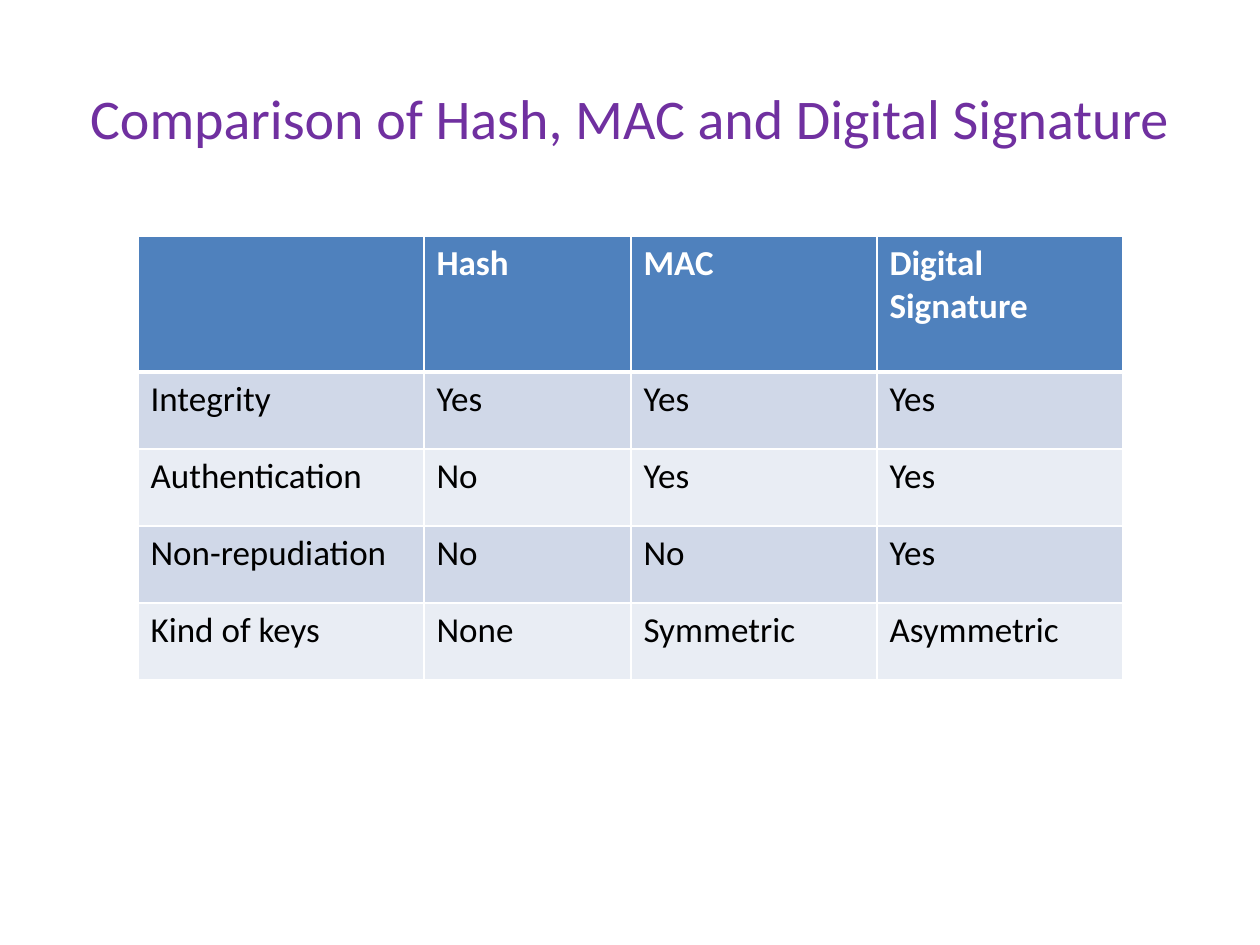
from pptx import Presentation
from pptx.dml.color import RGBColor
from pptx.enum.text import MSO_ANCHOR, PP_ALIGN
from pptx.oxml import parse_xml
from pptx.oxml.ns import nsdecls
from pptx.util import Pt

PX = 914400 / 126
FONT = "Calibri"
PURPLE = RGBColor(0x70, 0x30, 0xA0)
BLUE = RGBColor(0x4F, 0x81, 0xBD)
BAND_DARK = RGBColor(0xD0, 0xD8, 0xE8)
BAND_LIGHT = RGBColor(0xE9, 0xED, 0xF4)
WHITE = RGBColor(0xFF, 0xFF, 0xFF)
BLACK = RGBColor(0, 0, 0)

COLUMNS = [286, 207, 246, 246]
HEADER_HEIGHT, ROW_HEIGHT = 136, 77
ROWS = [
    ["", "Hash", "MAC", "Digital Signature"],
    ["Integrity", "Yes", "Yes", "Yes"],
    ["Authentication", "No", "Yes", "Yes"],
    ["Non-repudiation", "No", "No", "Yes"],
    ["Kind of keys", "None", "Symmetric", "Asymmetric"],
]


def px(n):
    return round(n * PX)


def style_font(font, size, color, bold=False):
    font.name = FONT
    font.size = Pt(size)
    font.bold = bold
    font.color.rgb = color


def add_title(s, text, x, y, w, h):
    tf = s.shapes.add_textbox(px(x), px(y), px(w), px(h)).text_frame
    tf.word_wrap = True
    tf.vertical_anchor = MSO_ANCHOR.MIDDLE
    tf.text = text
    p = tf.paragraphs[0]
    p.alignment = PP_ALIGN.CENTER
    style_font(p.runs[0].font, 32, PURPLE)


def set_borders(cell, top, bottom):
    tc_pr = cell._tc.get_or_add_tcPr()
    for side, width in (("L", 1), ("R", 1), ("T", top), ("B", bottom)):
        tc_pr.append(parse_xml(
            f'<a:ln{side} {nsdecls("a")} w="{Pt(width)}"><a:solidFill>'
            f'<a:srgbClr val="{WHITE}"/></a:solidFill></a:ln{side}>'))


def style_cell(cell, row):
    header = row == 0
    set_borders(cell, top=3 if row == 1 else 1, bottom=3 if header else 1)
    cell.fill.solid()
    band = BAND_DARK if row % 2 else BAND_LIGHT
    cell.fill.fore_color.rgb = BLUE if header else band
    for r in cell.text_frame.paragraphs[0].runs:
        style_font(r.font, 20, WHITE if header else BLACK, header)


def add_comparison(s, x, y):
    heights = [HEADER_HEIGHT] + [ROW_HEIGHT] * (len(ROWS) - 1)
    table = s.shapes.add_table(len(ROWS), len(COLUMNS), px(x), px(y),
                               px(sum(COLUMNS)), px(sum(heights))).table
    for column, width in zip(table.columns, COLUMNS):
        column.width = px(width)
    for i, (texts, height) in enumerate(zip(ROWS, heights)):
        table.rows[i].height = px(height)
        for j, text in enumerate(texts):
            cell = table.cell(i, j)
            cell.text = text
            style_cell(cell, i)


def main():
    prs = Presentation()
    prs.slide_width, prs.slide_height = px(1260), px(945)
    s = prs.slides.add_slide(prs.slide_layouts[6])
    add_title(s, "Comparison of Hash, MAC and Digital Signature", 63, 38, 1134, 158)
    add_comparison(s, 138, 236)
    prs.save("out.pptx")


if __name__ == "__main__":
    main()
